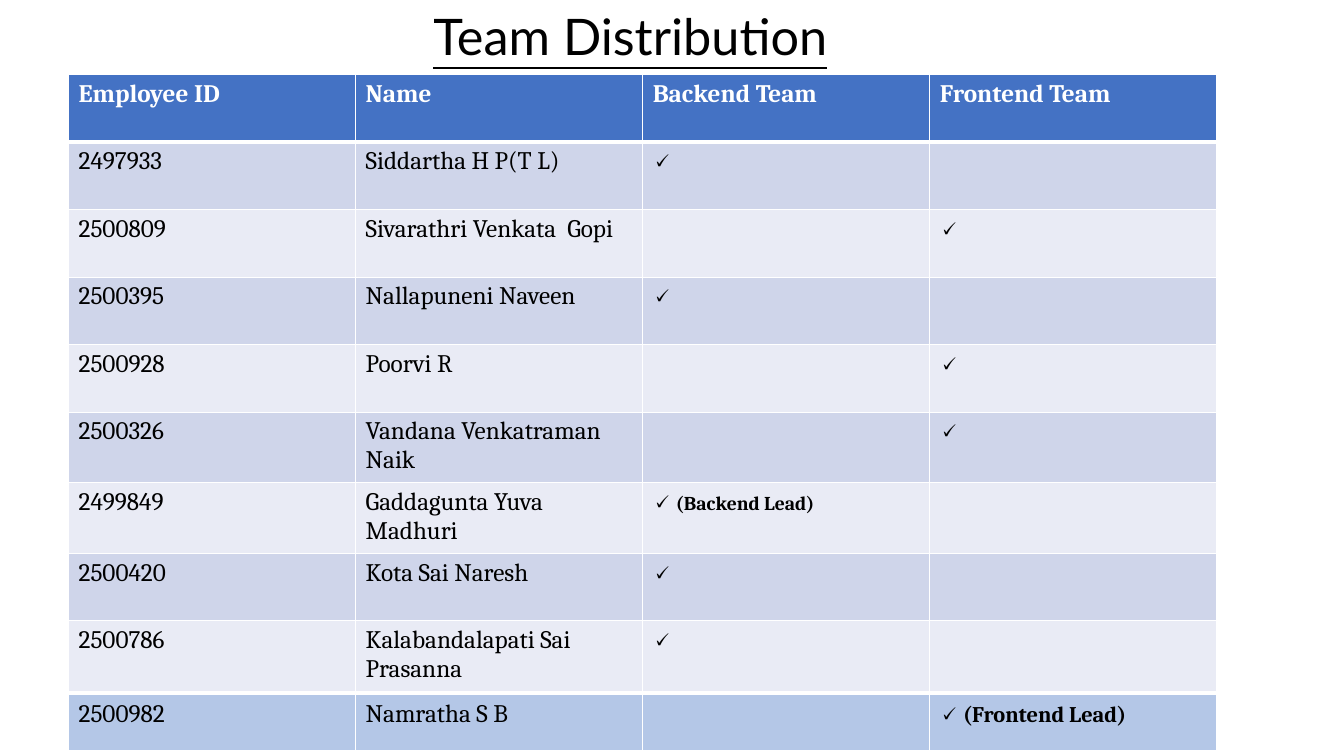
from lxml import etree
from pptx import Presentation
from pptx.dml.color import RGBColor
from pptx.oxml.ns import qn
from pptx.util import Inches, Pt

COLORS = {
    "white": "FFFFFF",
    "black": "000000",
    "head": "4472C4",
    "odd": "CFD5EA",
    "even": "E9EBF5",
    "last": "B4C7E7",
}
TICK = "🗸"
LEFT, WIDTH = 0.68, 11.39
HEADS = ["Employee ID", "Name", "Backend Team", "Frontend Team"]
STAFF = [
    ["2497933", "Siddartha H P(T L)", TICK, ""],
    ["2500809", "Sivarathri Venkata  Gopi", "", TICK],
    ["2500395", "Nallapuneni Naveen", TICK, ""],
    ["2500928", "Poorvi R", "", TICK],
    ["2500326", "Vandana Venkatraman Naik", "", TICK],
    ["2499849", "Gaddagunta Yuva Madhuri", TICK + " (Backend Lead)", ""],
    ["2500420", "Kota Sai Naresh", TICK, ""],
    ["2500786", "Kalabandalapati Sai Prasanna", TICK, ""],
]
LAST = ["2500982", "Namratha S B", "", TICK + " (Frontend Lead)"]


def color(name):
    """Return the named colour."""
    return RGBColor.from_string(COLORS[name])


def style(font, face, size, ink, bold=False):
    """Set the face, size, colour and weight of a font."""
    font.name, font.size, font.bold = face, Pt(size), bold
    font.color.rgb = color(ink)


def add_title(slide, text):
    """Add the underlined title."""
    box = slide.shapes.add_textbox(Inches(4.2), 0, Inches(8.05), Inches(0.71))
    box.text_frame.word_wrap = True
    para = box.text_frame.paragraphs[0]
    para.text = text
    style(para.font, "Lato", 36, "black")
    para.font.underline = True


def add_edges(cell, base):
    """Draw white cell borders with the given bottom width."""
    props = cell._tc.get_or_add_tcPr()
    for side in "LRTB":
        width = Pt(base if side == "B" else 1)
        line = etree.SubElement(props, qn("a:ln" + side), w=str(width))
        fill = etree.SubElement(line, qn("a:solidFill"))
        etree.SubElement(fill, qn("a:srgbClr"), val=COLORS["white"])


def fill_cell(cell, text, fill, ink, bold, base, note):
    """Write one cell, with any remark after the tick in its own size."""
    add_edges(cell, base)
    cell.fill.solid()
    cell.fill.fore_color.rgb = color(fill)
    para = cell.text_frame.paragraphs[0]
    style(para.font, "Cambria", 18, ink, bold or text.startswith(TICK))
    mark, gap, lead = text.partition(" (")
    if text.startswith(TICK) and gap:
        for part, size in ((mark + " ", 18), ("(" + lead, note)):
            run = para.add_run()
            run.text = part
            run.font.size = Pt(size)
    elif text:
        para.text = text


def add_grid(slide, top, height, rows, fills, note, head=False):
    """Add a table with one fill per row."""
    frame = slide.shapes.add_table(
        len(rows), len(HEADS), Inches(LEFT), Inches(top),
        Inches(WIDTH), Inches(height * len(rows)))
    table = frame.table
    table.first_row = head
    for r, (row, fill) in enumerate(zip(rows, fills)):
        title = head and r == 0
        ink = "white" if title else "black"
        base = 3 if title or len(rows) == 1 else 1
        for c, text in enumerate(row):
            fill_cell(table.cell(r, c), text, fill, ink, title, base, note)


def main():
    """Build the slide and save it."""
    deck = Presentation()
    deck.slide_width, deck.slide_height = Inches(13.33), Inches(7.5)
    slide = deck.slides.add_slide(deck.slide_layouts[6])
    add_title(slide, "Team Distribution")
    bands = ["head"] + ["odd", "even"] * (len(STAFF) // 2)
    add_grid(slide, 0.74, 0.67, [HEADS] + STAFF, bands, 14, head=True)
    add_grid(slide, 6.89, 0.57, [LAST], ["last"], 16)
    deck.save("out.pptx")


if __name__ == "__main__":
    main()
